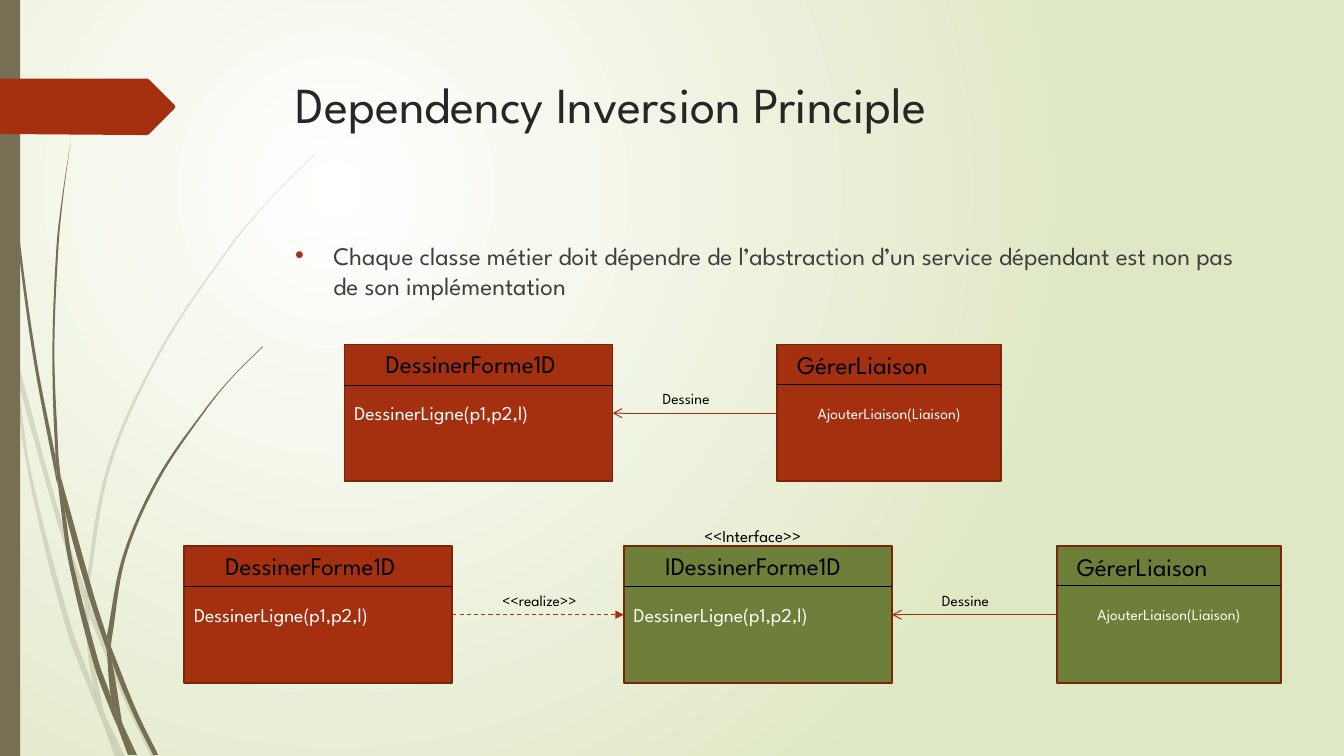
from math import dist
from pptx import Presentation
from pptx.dml.color import RGBColor
from pptx.enum.dml import MSO_LINE_DASH_STYLE as DASH
from pptx.enum.shapes import MSO_CONNECTOR as CONNECTOR, MSO_SHAPE as SHAPE
from pptx.enum.text import MSO_ANCHOR as ANCHOR, PP_ALIGN as ALIGN
from pptx.oxml.ns import qn
from pptx.util import Cm, Pt
from lxml.etree import Element, SubElement

FONT = "League Spartan"
RUST, DARK_RUST, OLIVE, TAUPE = "A53010", "7A240C", "6D7F39", "766F54"
BLACK, WHITE = "000000", "FFFFFF"
GRASS_UNIT = 2.54
WIDE, NARROW, CLASS_HEIGHT = 6.76, 5.64, 3.45

PALE_GRASS = [
    ([(.11, 3.5), (.09, 3.22), (0, 2.82)], [(0, 2.99), (.1, 3.44)]),
    ([(.84, 5.99), (.58, 5.22), (.17, 3.76)], [(.14, 3.45), (.62, 5.2), (.85, 5.86)]),
    ([(.88, 5.96), (.92, 6.07), (1.27, 6.92), (1.55, 7.51)],
     [(1.5, 7.51), (1.23, 6.94), (.88, 6.1)]),
    ([(1.24, 7.51), (1.05, 7.11)], [(1.19, 7.51)]),
    ([(.11, 3.5), (.28, 4.7), (.65, 6.21), (.92, 6.93), (1.01, 7.14)],
     [(.99, 7.07), (.93, 6.83), (.7, 6.19), (.31, 4.69), (.17, 3.76), (.11, 3.5)]),
    ([(.84, 5.99), (.87, 6.46), (.93, 6.83), (.96, 6.92), (1.05, 7.11)],
     [(1.03, 7.06), (.91, 6.46), (.88, 6.1), (.84, 5.99)]),
    ([(3.12, 1.53), (2.89, 1.75), (2.68, 1.97), (2.28, 2.44), (1.58, 3.48),
      (1.07, 4.61), (.85, 5.84), (.88, 5.96)],
     [(.88, 5.84), (1.1, 4.62), (1.6, 3.49), (2.29, 2.45),
      (2.68, 1.98), (2.9, 1.75), (3.12, 1.54)]),
    ([(1.01, 7.14), (1.14, 7.51)], [(1.19, 7.51), (1.01, 7.14)]),
    ([(.88, 6.1), (.88, 5.96), (.85, 5.86)], [(.84, 5.99), (.88, 6.08)]),
    ([(.93, 6.83), (.99, 7.07), (1.01, 7.14), (1.19, 7.51)],
     [(1.05, 7.11), (.96, 6.92), (.93, 6.83)]),
]
DARK_GRASS = [
    ([(.03, 0), (.04, .48), (.07, 1.1), (.17, 2.33), (.33, 3.55), (.56, 4.77), (.57, 4.81)],
     [(.55, 4.53), (.36, 3.55), (.19, 2.32), (.08, 1.09), (.05, .48), (.04, 0)]),
    ([(.6, 4.72), (.64, 5.05), (.88, 5.92), (1.06, 6.45)],
     [(1.06, 6.31), (.93, 5.9), (.6, 4.72)]),
    ([(1.1, 6.41), (1.13, 6.49), (1.36, 7.06), (1.57, 7.49)],
     [(1.52, 7.49), (1.32, 7.08), (1.11, 6.56), (1.1, 6.41)]),
    ([(.57, 4.77), (.68, 5.57), (.93, 6.59), (1.11, 7.08), (1.17, 7.22)],
     [(1.16, 7.17), (1.1, 6.91), (.98, 6.57), (.72, 5.56), (.64, 5.05), (.57, 4.77)]),
    ([(.7, 1.41), (.62, 1.93), (.56, 2.45), (.52, 3.49), (.55, 4.49), (.6, 4.72)],
     [(.58, 4.53), (.54, 3.49), (.58, 2.45), (.63, 1.93), (.7, 1.41)]),
    ([(1.36, 7.49), (1.22, 7.19)], [(1.33, 7.49)]),
    ([(.55, 4.49), (.55, 4.53), (.57, 4.77), (.64, 5.05)], [(.6, 4.72), (.55, 4.49)]),
    ([(2.6, 3.44), (2.31, 3.73), (2.04, 4.05), (1.56, 4.74), (1.22, 5.51), (1.06, 6.31)],
     [(1.1, 6.41), (1.11, 6.33), (1.25, 5.52), (1.58, 4.76), (2.05, 4.06),
      (2.31, 3.74), (2.61, 3.44)]),
    ([(1.17, 7.22), (1.27, 7.49)], [(1.31, 7.49), (1.17, 7.22)]),
    ([(1.06, 6.45), (1.1, 6.91), (1.16, 7.06), (1.22, 7.19)],
     [(1.21, 7.16), (1.11, 6.56), (1.06, 6.45)]),
    ([(1.06, 6.31), (1.06, 6.45), (1.11, 6.56)], [(1.1, 6.41), (1.06, 6.31)]),
    ([(1.1, 6.91), (1.16, 7.17), (1.17, 7.22), (1.3, 7.49)],
     [(1.33, 7.49), (1.22, 7.19), (1.16, 7.06), (1.1, 6.91)]),
]
TITLE_FLAG = [(0, .78), (1.46, .78), (1.48, .79), (1.73, 1.04), (1.74, 1.06),
              (1.73, 1.08), (1.48, 1.33), (1.46, 1.34), (1.36, 1.34), (0, 1.33)]


def rgb(value):
    return RGBColor.from_string(value)


def paint(shape, fill, border=None):
    shape.shadow.inherit = False
    shape.fill.solid()
    shape.fill.fore_color.rgb = rgb(fill)
    if border:
        shape.line.color.rgb = rgb(border)
        shape.line.width = Pt(1.25)
    else:
        shape.line.fill.background()


def write(shape, text, size=18, color=BLACK, align=ALIGN.LEFT, anchor=ANCHOR.TOP):
    frame = shape.text_frame
    frame.word_wrap = True
    frame.vertical_anchor = anchor
    paragraph = frame.paragraphs[0]
    paragraph.alignment = align
    run = paragraph.add_run()
    run.text = text
    run.font.name, run.font.size = FONT, Pt(size)
    run.font.color.rgb = rgb(color)
    return paragraph


def label(slide, text, left, top, width, height, **style):
    box = slide.shapes.add_textbox(Cm(left), Cm(top), Cm(width), Cm(height))
    return write(box, text, **style)


def block(slide, left, top, width, height, fill, border=None):
    shape = slide.shapes.add_shape(SHAPE.RECTANGLE, Cm(left), Cm(top), Cm(width), Cm(height))
    paint(shape, fill, border)
    return shape


def outline(slide, points, fill):
    first, *rest = [(Cm(x * GRASS_UNIT), Cm(y * GRASS_UNIT)) for x, y in points]
    builder = slide.shapes.build_freeform(*first)
    builder.add_line_segments(rest, close=True)
    shape = builder.convert_to_shape()
    paint(shape, fill)
    return shape


def handle(spot, back, ahead, reach):
    scale = reach / (3 * dist(back, ahead))
    return tuple(s + (a - b) * scale for s, b, a in zip(spot, back, ahead))


def bend(shape, joint):
    track = shape._element.find(".//" + qn("a:path"))
    nodes = list(track)[:-1]
    spots = [(int(node[0].get("x")), int(node[0].get("y"))) for node in nodes]
    for edge in (range(joint), range(joint, len(nodes))):
        for i in edge[1:]:
            before, after = spots[max(i - 2, edge[0])], spots[min(i + 1, edge[-1])]
            start, end = spots[i - 1], spots[i]
            reach = dist(start, end)
            curve = Element(qn("a:cubicBezTo"))
            for x, y in (handle(start, before, end, reach), handle(end, after, start, reach), end):
                SubElement(curve, qn("a:pt"), x=str(round(x)), y=str(round(y)))
            track.replace(nodes[i], curve)


def blade(slide, outward, back, opacity):
    shape = outline(slide, outward + back, TAUPE)
    bend(shape, len(outward))
    if opacity < 100:
        tint = shape.fill._xPr.find(qn("a:solidFill"))[0]
        SubElement(tint, qn("a:alpha"), val=str(opacity * 1000))


def line(slide, start, end, y, color=BLACK, head=None, dash=None):
    link = slide.shapes.add_connector(CONNECTOR.STRAIGHT, Cm(start), Cm(y), Cm(end), Cm(y))
    link.line.color.rgb = rgb(color)
    link.line.width = Pt(0.75)
    if dash:
        link.line.dash_style = dash
    if head:
        SubElement(link.line._get_or_add_ln(), qn("a:tailEnd"), type=head)
    SubElement(link._element.spPr, qn("a:effectLst"))


def shape_class(slide, name, left, top, fill):
    box = block(slide, left, top, WIDE, CLASS_HEIGHT, fill, DARK_RUST)
    write(box, "DessinerLigne(p1,p2,l)", size=14, color=WHITE, anchor=ANCHOR.MIDDLE)
    label(slide, name, left + 0.79, top - 0.02, 5.97, 1.02)
    line(slide, left, left + WIDE, top + 1.03)


def link_class(slide, left, top, fill):
    box = block(slide, left, top, NARROW, CLASS_HEIGHT, fill, DARK_RUST)
    write(box, "AjouterLiaison(Liaison)", size=11, color=WHITE,
          align=ALIGN.CENTER, anchor=ANCHOR.MIDDLE)
    line(slide, left, left + NARROW, top + 1)
    label(slide, "GérerLiaison", left + 0.25, top, 4.34, 1.02)


def relation(slide, text, start, end, top, width, head, dash=None):
    line(slide, start, end, top + 1.73, RUST, head, dash)
    label(slide, text, min(start, end) + 1.01, top + 1, width, 0.74, size=11)


def background(slide):
    fill = slide.background.fill
    fill.gradient()
    for stop, color in zip(fill.gradient_stops, (WHITE, "DFE8C4")):
        stop.color.rgb = rgb(color)
    gradient = slide.background._cSld.find(".//" + qn("a:gradFill"))
    gradient.remove(gradient.find(qn("a:lin")))
    circle = SubElement(gradient, qn("a:path"), path="circle")
    SubElement(circle, qn("a:fillToRect"), l="50000", t="50000", r="100000", b="100000")


def main():
    deck = Presentation()
    deck.slide_width, deck.slide_height = Cm(33.87), Cm(19.05)
    slide = deck.slides.add_slide(deck.slide_layouts[6])
    background(slide)
    for grass, opacity in ((PALE_GRASS, 20), (DARK_GRASS, 100)):
        for outward, back in grass:
            blade(slide, outward, back, opacity)
    block(slide, 0, 0, 0.51, 19.05, TAUPE)
    outline(slide, TITLE_FLAG, RUST)

    label(slide, "Dependency Inversion Principle", 7.21, 1.73, 24.77, 3.56,
          size=36, color="262626")
    rule = label(slide, "Chaque classe métier doit dépendre de l’abstraction d’un service "
                 "dépendant est non pas de son implémentation",
                 7.19, 5.92, 24.77, 1.9, color="404040")
    rule.space_before = Pt(10)
    props = rule._p.get_or_add_pPr()
    props.set("marL", str(Cm(0.96)))
    props.set("indent", str(-Cm(0.96)))
    SubElement(SubElement(props, qn("a:buClr")), qn("a:srgbClr"), val=RUST)
    SubElement(props, qn("a:buFont"), typeface="Arial")
    SubElement(props, qn("a:buChar"), char="•")

    direct, inverted = 8.68, 13.76
    shape_class(slide, "DessinerForme1D", 8.68, direct, RUST)
    link_class(slide, 19.59, direct, RUST)
    relation(slide, "Dessine", 19.59, 8.68 + WIDE, direct, 1.93, "arrow")

    shape_class(slide, "IDessinerForme1D", 15.72, inverted, OLIVE)
    label(slide, "<<Interface>>", 17.5, 13.12, 3.96, 0.76, size=12)
    link_class(slide, 26.64, inverted, OLIVE)
    relation(slide, "Dessine", 26.64, 15.72 + WIDE, inverted, 1.93, "arrow")
    shape_class(slide, "DessinerForme1D", 4.64, inverted, RUST)
    relation(slide, "<<realize>>", 4.64 + WIDE, 15.72, inverted, 2.72, "triangle", DASH.DASH)
    deck.save("out.pptx")


main()
